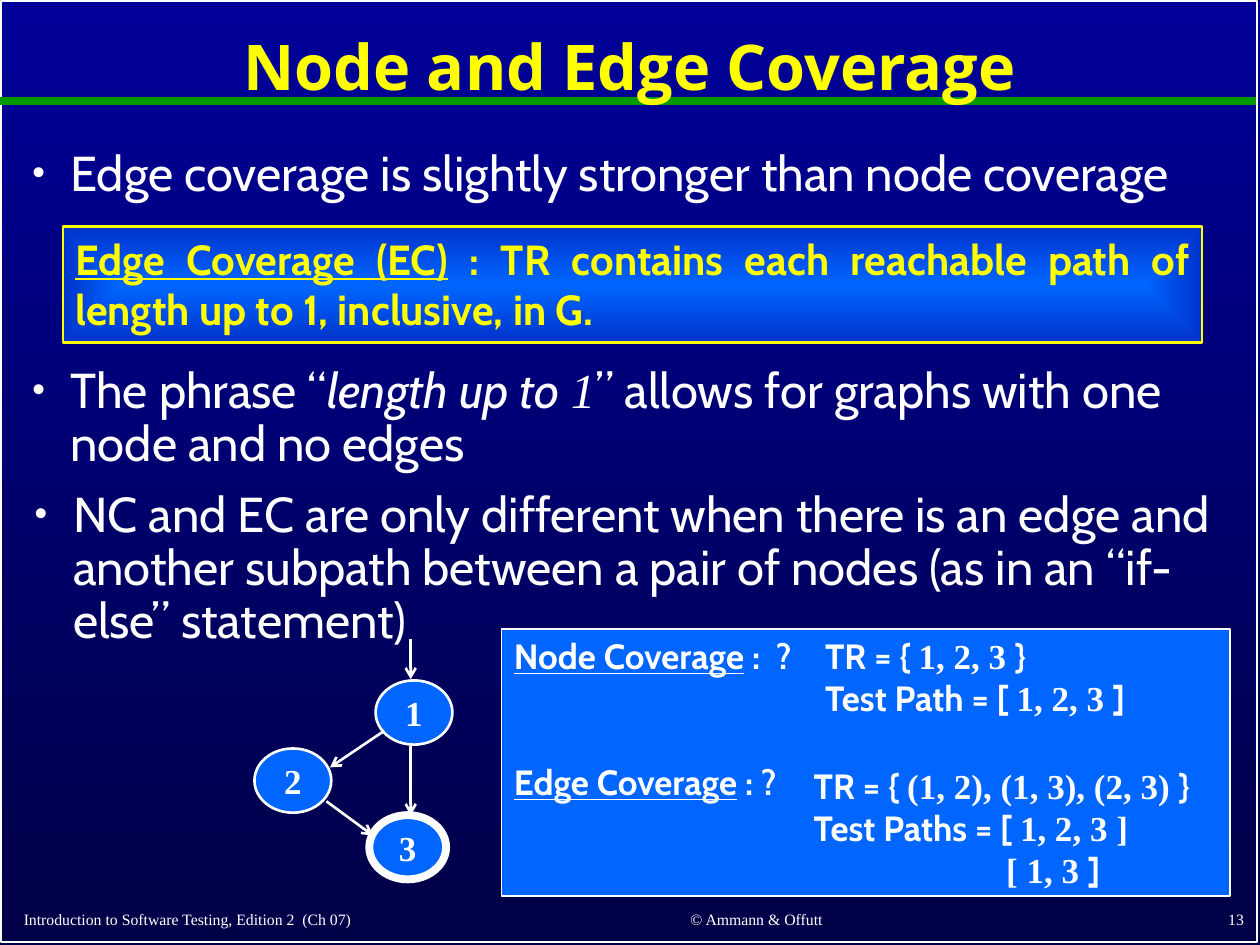
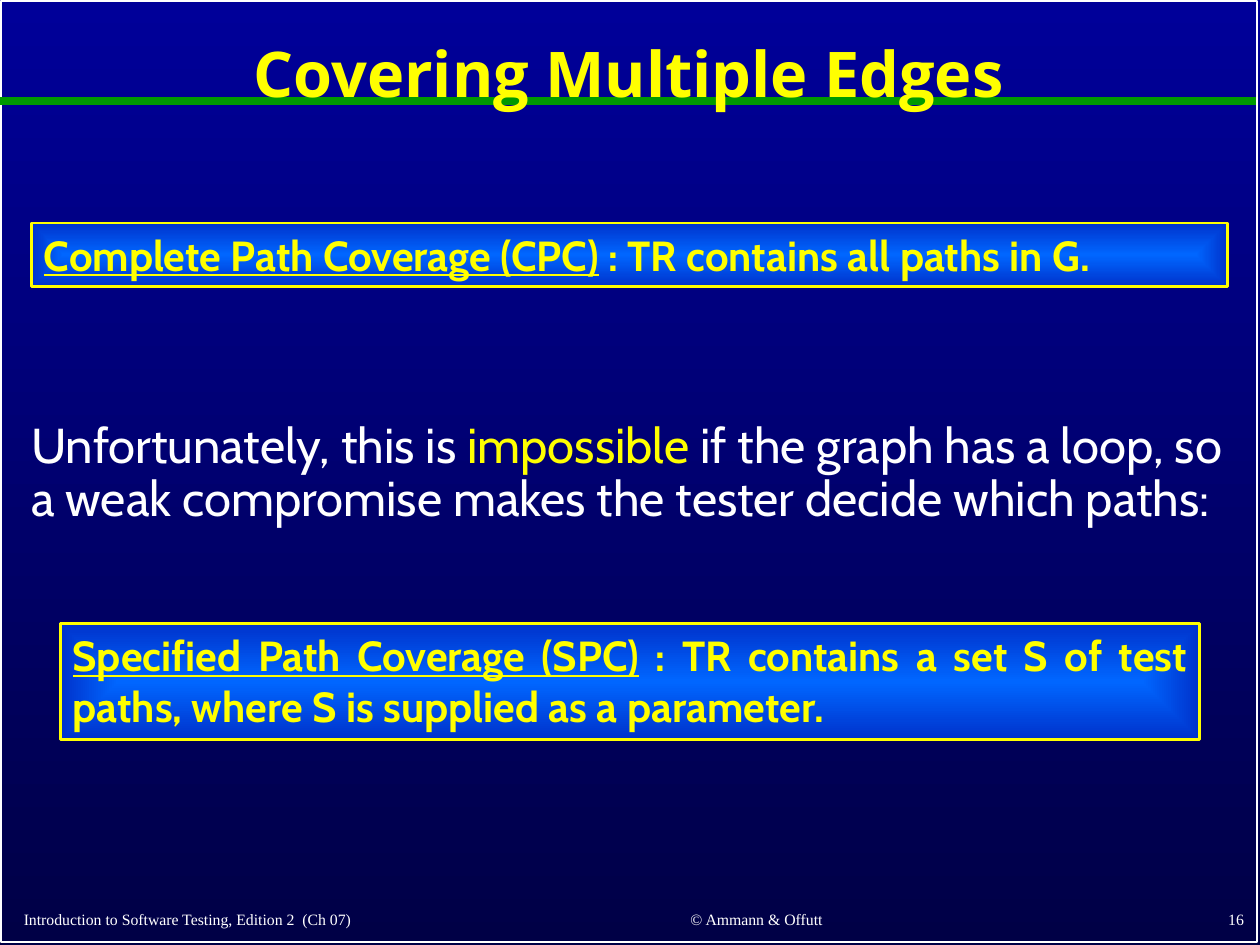
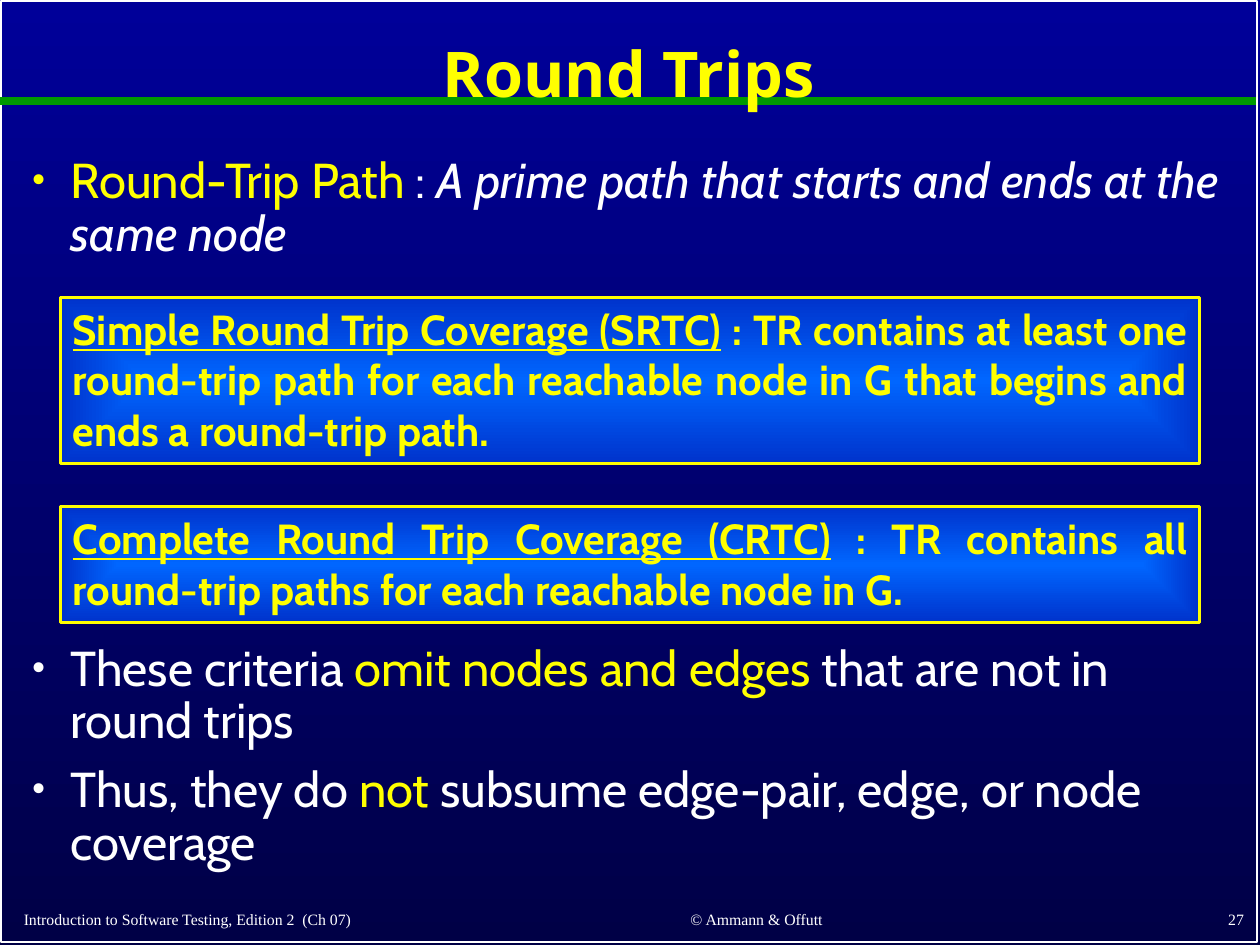
from lxml import etree
from pptx import Presentation
from pptx.dml.color import RGBColor
from pptx.enum.shapes import MSO_CONNECTOR as CONN, MSO_SHAPE as SHAPE
from pptx.enum.text import MSO_ANCHOR as ANCHOR, PP_ALIGN as ALIGN
from pptx.oxml.ns import qn
from pptx.util import Pt

# Palette
WHITE = RGBColor(0xFF, 0xFF, 0xFF)
YELLOW = RGBColor(0xFF, 0xFF, 0x00)
GREEN = RGBColor(0x00, 0x99, 0x00)
BLUE = RGBColor(0x00, 0x66, 0xFF)
DEEP_BLUE = RGBColor(0x00, 0x33, 0xCC)
NAVY_TOP = RGBColor(0x00, 0x00, 0x99)
NAVY_BOTTOM = RGBColor(0x00, 0x00, 0x46)

# Fonts
BODY, HEADING, SERIF = "Cabin", "Open Sans", "Times New Roman"

# Run formats
HIGHLIGHT = {"color": YELLOW}
ITALIC = {"italic": True}
TIMES = {"font": SERIF}
UNDERLINE = {"underline": True}

BULLET_INDENT = 22.5
FOOTER_TOP, FOOTER_HEIGHT = 512.5, 21.7


def add_bullet(p):
    pPr = p._p.get_or_add_pPr()
    pPr.set("marL", str(Pt(BULLET_INDENT)))
    pPr.set("indent", str(-Pt(BULLET_INDENT)))
    etree.SubElement(pPr, qn("a:buSzPct")).set("val", "85000")
    etree.SubElement(pPr, qn("a:buFont")).set("typeface", SERIF)
    etree.SubElement(pPr, qn("a:buChar")).set("char", "•")


def write(sp, paragraphs, *, size=28, font=BODY, color=WHITE, bold=False,
          align=ALIGN.LEFT, anchor=ANCHOR.TOP, spacing=None, gap=0,
          bullet=False, inset=(7.2, 3.6)):
    """Fill a shape; a paragraph is a list of strings or (string, format) runs."""
    tf = sp.text_frame
    tf.word_wrap = True
    tf.vertical_anchor = anchor
    tf.margin_left = tf.margin_right = Pt(inset[0])
    tf.margin_top = tf.margin_bottom = Pt(inset[1])
    for i, runs in enumerate(paragraphs):
        p = tf.add_paragraph() if i else tf.paragraphs[0]
        p.alignment = align
        if spacing:
            p.line_spacing = spacing
        if i and gap:
            p.space_before = Pt(gap)
        if bullet:
            add_bullet(p)
        for run in runs:
            words, fmt = (run, {}) if isinstance(run, str) else run
            r = p.add_run()
            r.text = words
            r.font.size = Pt(size)
            r.font.name = fmt.get("font", font)
            r.font.color.rgb = fmt.get("color", color)
            r.font.bold = bold
            r.font.italic = fmt.get("italic", False)
            r.font.underline = fmt.get("underline", False)
    return tf


def add_text(s, x, y, w, h, paragraphs, **fmt):
    return write(s.shapes.add_textbox(Pt(x), Pt(y), Pt(w), Pt(h)), paragraphs, **fmt)


def add_body(s, x, y, h, paragraphs, bullet=True):
    add_text(s, x, y, 698.4, h, paragraphs, bullet=bullet, spacing=0.9, gap=9)


def add_box(s, kind, x, y, w, h, line=WHITE, weight=1, fill=None):
    sp = s.shapes.add_shape(kind, Pt(x), Pt(y), Pt(w), Pt(h))
    sp.shadow.inherit = False
    sp.line.color.rgb = line
    sp.line.width = Pt(weight)
    if fill is None:
        sp.fill.background()
    else:
        sp.fill.solid()
        sp.fill.fore_color.rgb = fill
    return sp


def add_line(s, start, end, color=WHITE, weight=1.5, arrow=False):
    ln = s.shapes.add_connector(CONN.STRAIGHT, *map(Pt, start + end))
    ln.line.color.rgb = color
    ln.line.width = Pt(weight)
    if arrow:
        etree.SubElement(ln.line._get_or_add_ln(), qn("a:tailEnd")).set("type", "arrow")
    etree.SubElement(ln._element.spPr, qn("a:effectLst"))


def set_gradient(fill, first, last):
    fill.gradient()
    for stop, color in zip(fill.gradient_stops, (first, last)):
        stop.color.rgb = color


def add_definition(s, x, y, w, h, term, meaning):
    sp = add_box(s, SHAPE.RECTANGLE, x, y, w, h, line=YELLOW, weight=1.5)
    set_gradient(sp.fill, BLUE, DEEP_BLUE)
    # Let the gradient spread from the centre of the box
    grad = sp._element.spPr.find(qn("a:gradFill"))
    lin = grad.find(qn("a:lin"))
    shade = etree.Element(qn("a:path"), {"path": "shape"})
    centre = etree.SubElement(shade, qn("a:fillToRect"))
    for side in "ltrb":
        centre.set(side, "50000")
    grad.replace(lin, shade)
    write(sp, [[(term, UNDERLINE), " : " + meaning]], size=24, color=YELLOW,
          bold=True, align=ALIGN.JUSTIFY)


def add_node(s, label, x, y, weight=1.5):
    sp = add_box(s, SHAPE.OVAL, x, y, 43.9, 36.7, weight=weight, fill=BLUE)
    write(sp, [[label]], size=20, font=SERIF, bold=True, align=ALIGN.CENTER,
          anchor=ANCHOR.MIDDLE, inset=(0, 0))


def add_base_slide(prs, title, number, title_box=(6.5, 7.9, 705.6, 72)):
    s = prs.slides.add_slide(prs.slide_layouts[6])
    fill = s.background.fill
    set_gradient(fill, NAVY_TOP, NAVY_BOTTOM)
    fill.gradient_angle = 270
    # Frame and rule
    add_box(s, SHAPE.RECTANGLE, 0.7, 0.7, 717.8, 537.8)
    add_line(s, (0, 57.6), (717.8, 57.6), color=GREEN, weight=4.5)
    # Footers
    footers = (
        (6.5, 296.6, "Introduction to Software Testing, Edition 2  (Ch 07)", ALIGN.LEFT),
        (318.2, 228.2, "© Ammann & Offutt", ALIGN.CENTER),
        (568.1, 149.8, str(number), ALIGN.RIGHT),
    )
    for x, w, words, align in footers:
        add_text(s, x, FOOTER_TOP, w, FOOTER_HEIGHT, [[words]], size=9,
                 font=SERIF, align=align, anchor=ANCHOR.BOTTOM)
    add_text(s, *title_box, [[title]], size=36, font=HEADING, color=YELLOW,
             bold=True, align=ALIGN.CENTER, anchor=ANCHOR.MIDDLE, spacing=0.9)
    return s


def add_graph(s):
    add_node(s, "2", 145.4, 427.7)
    add_node(s, "3", 211, 465.8, weight=4.5)
    add_node(s, "1", 214.6, 388.8)
    edges = (
        ((219.6, 417.6), (188.6, 438.5)),
        ((186.5, 457.9), (213.1, 477.4)),
        ((234.7, 426.2), (234.7, 465.8)),
        ((234.7, 365), (234.7, 388.1)),
    )
    for start, end in edges:
        add_line(s, start, end, arrow=True)


def build_node_and_edge(prs):
    s = add_base_slide(prs, "Node and Edge Coverage", 13, (54, 7.9, 612, 64.8))
    add_body(s, 10.8, 81.4, 37.4, [["Edge coverage is slightly stronger than node coverage"]])
    add_definition(s, 36, 129.6, 650.9, 66.2, "Edge Coverage (EC)",
                   "TR contains each reachable path of length up to 1, inclusive, in G.")
    add_body(s, 10.8, 205.9, 59.8, [[
        "The phrase “", ("length up to ", ITALIC), ("1", {**TIMES, **ITALIC}),
        "” allows for graphs with one node and no edges"]])
    add_body(s, 12.2, 276.5, 59.8, [[
        "NC and EC are only different when there is an edge and another subpath "
        "between a pair of nodes (as in an “if-else” statement)"]])
    # Answers panel
    panel = add_box(s, SHAPE.RECTANGLE, 286.6, 359.3, 416.2, 152.6, fill=BLUE)
    write(panel, [[("Node Coverage", UNDERLINE), " :  ?"],
                  [("Edge Coverage", UNDERLINE), " : ?"]],
          size=20, bold=True, gap=48)
    add_graph(s)
    add_text(s, 464.4, 359.3, 213.8, 55.4, [
        ["TR = { ", ("1, 2, 3 ", TIMES), "}"],
        ["Test Path = [ ", ("1, 2, 3 ", TIMES), "]"],
    ], size=20, bold=True)
    tf = add_text(s, 457.9, 433.4, 249.8, 79.9, [
        ["TR = { ", ("(1, 2), (1, 3), (2, 3) ", TIMES), "}"],
        ["Test Paths = [ ", ("1, 2, 3 ]", TIMES)],
        [("[ 1, 3 ", TIMES), "]"],
    ], size=20, bold=True)
    # Set the second path under the first
    tf.paragraphs[2]._p.get_or_add_pPr().set("marL", str(Pt(110)))


def build_multiple_edges(prs):
    s = add_base_slide(prs, "Covering Multiple Edges", 16)
    add_definition(s, 18, 127.4, 683.3, 36.4, "Complete Path Coverage (CPC)",
                   "TR contains all paths in G.")
    add_definition(s, 34.6, 356.4, 650.9, 66.2, "Specified Path Coverage (SPC)",
                   "TR contains a set S of test paths, where S is supplied as a parameter.")
    add_body(s, 10.8, 236.9, 71.3, [[
        "Unfortunately, this is ", ("impossible", HIGHLIGHT),
        " if the graph has a loop, so a weak compromise makes the tester "
        "decide which paths:"]], bullet=False)


def build_round_trips(prs):
    s = add_base_slide(prs, "Round Trips", 27)
    add_body(s, 10.8, 85.7, 73.4, [[
        ("Round-Trip Path", HIGHLIGHT), " : ",
        ("A prime path that starts and ends at the same node", ITALIC)]])
    add_definition(s, 34.6, 169.9, 650.9, 95, "Simple Round Trip Coverage (SRTC)",
                   "TR contains at least one round-trip path for each reachable node "
                   "in G that begins and ends a round-trip path.")
    add_definition(s, 34.6, 289.4, 650.9, 66.2, "Complete Round Trip Coverage (CRTC)",
                   "TR contains all round-trip paths for each reachable node in G.")
    add_body(s, 10.8, 364.3, 141.1, [
        ["These criteria ", ("omit nodes and edges", HIGHLIGHT),
         " that are not in round trips"],
        ["Thus, they do ", ("not", HIGHLIGHT),
         " subsume edge-pair, edge, or node coverage"],
    ])


def main():
    prs = Presentation()
    prs.slide_width, prs.slide_height = Pt(720), Pt(540)
    build_node_and_edge(prs)
    build_multiple_edges(prs)
    build_round_trips(prs)
    prs.save("out.pptx")


main()
